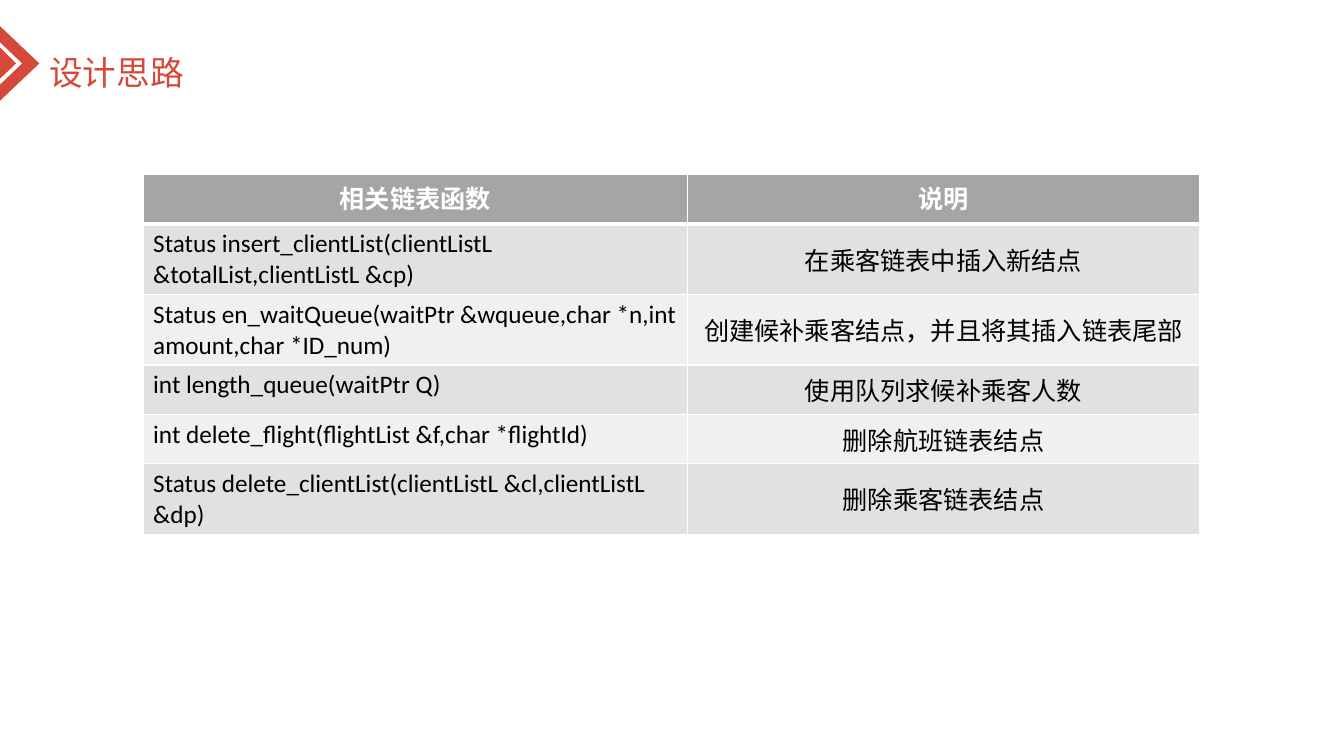
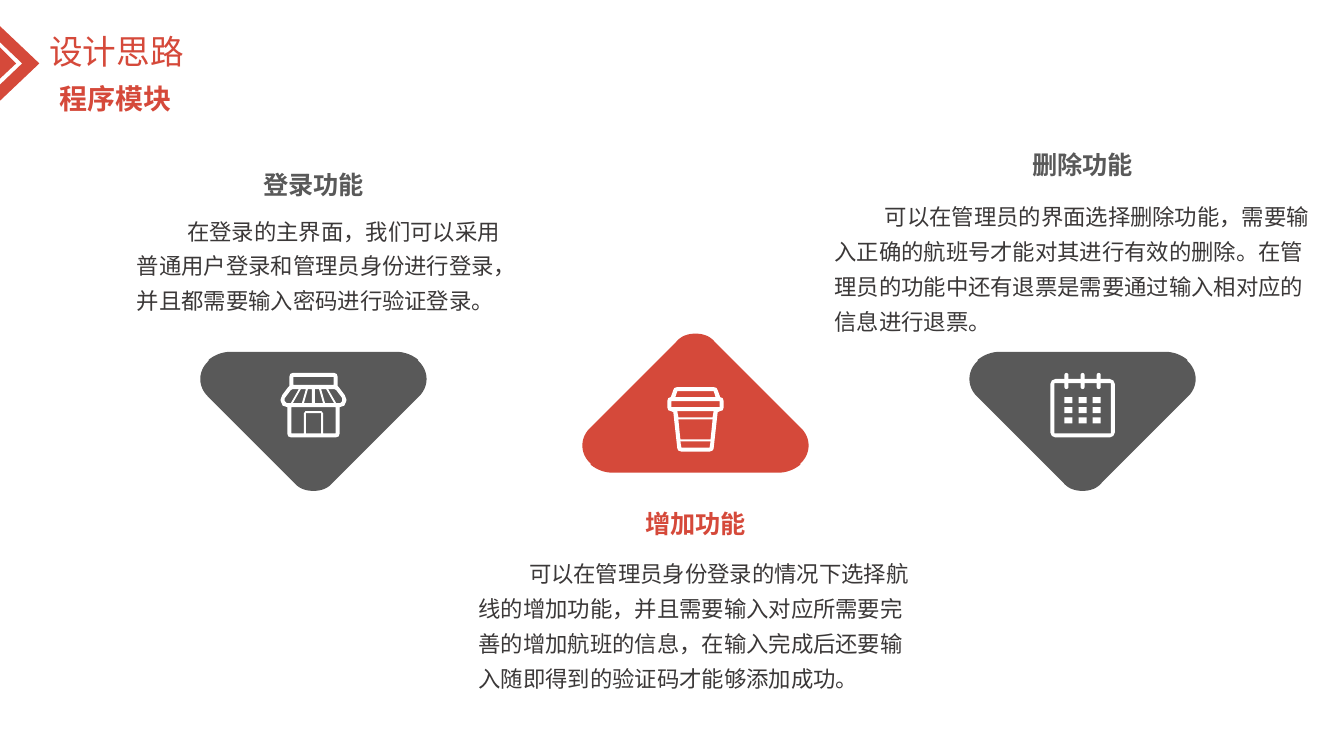
"""Build two slides on a booking program: its list functions and its modules."""
from pptx import Presentation
from pptx.dml.color import RGBColor as Rgb
from pptx.enum.shapes import MSO_SHAPE as Shape
from pptx.enum.text import MSO_ANCHOR as Anchor
from pptx.enum.text import MSO_AUTO_SIZE as Fit
from pptx.enum.text import PP_ALIGN as Align
from pptx.oxml.ns import qn
from pptx.util import Inches, Pt
from lxml.etree import SubElement as Sub

CELL = Inches(0.1)
COLS, ROWS = 133.33, 75
RED = Rgb(0xD5, 0x49, 0x3A)
GREY = Rgb(0x59, 0x59, 0x59)
INK = Rgb(0x3B, 0x38, 0x38)
WHITE = Rgb(0xFF, 0xFF, 0xFF)
BLACK = Rgb(0, 0, 0)
HEAD = Rgb(0xA5, 0xA5, 0xA5)
BANDS = Rgb(0xE1, 0xE1, 0xE1), Rgb(0xF0, 0xF0, 0xF0)
SANS, LATIN = "Noto Sans CJK SC", "Calibri"

TABLE = [
    ("相关链表函数", "说明"),
    ("Status insert_clientList(clientListL &totalList,clientListL &cp)", "在乘客链表中插入新结点"),
    ("Status en_waitQueue(waitPtr &wqueue,char *n,int amount,char *ID_num)",
     "创建候补乘客结点，并且将其插入链表尾部"),
    ("int length_queue(waitPtr Q)", "使用队列求候补乘客人数"),
    ("int delete_flight(flightList &f,char *flightId)", "删除航班链表结点"),
    ("Status delete_clientList(clientListL &cl,clientListL &dp)", "删除乘客链表结点"),
]
LOGIN = "在登录的主界面，我们可以采用普通用户登录和管理员身份进行登录，并且都需要输入密码进行验证登录。"
ADD = ("可以在管理员身份登录的情况下选择航线的增加功能，并且需要输入对应所需要完善的增加航班的信息，"
       "在输入完成后还要输入随即得到的验证码才能够添加成功。")
DROP = ("可以在管理员的界面选择删除功能，需要输入正确的航班号才能对其进行有效的删除。"
        "在管理员的功能中还有退票是需要通过输入相对应的信息进行退票。")

BENDS = [
    [(0, 13.8), (0.7, 13.8), (1.4, 13.6), (1.9, 13)],
    [(10.4, 4.5), (11.5, 3.5), (11.5, 1.9), (10.4, 0.9)],
    [(10.4, 0.8), (9.8, 0.3), (9, 0), (8.2, 0)],
]
STRIPES = [
    [(1.45, 1.6), (2.05, 1.6), (2.25, 1.7), (2.85, 2.5), (2.85, 2.8), (2.65, 3), (2.25, 3)],
    [(0.75, 1.6), (1.25, 1.6), (2.05, 3), (1.15, 3)],
    [(0.15, 1.6), (0.55, 1.6), (0.95, 3), (0.15, 3)],
]
SHOP = [
    [(2.05, 0), (2.3, 0.1), (2.4, 0.4), (2.4, 1.3), (2.5, 1.4), (3.1, 2.2), (3.25, 2.6),
     (3.25, 2.8), (3.05, 3.25), (2.6, 3.4), (2.6, 6), (2.5, 6.3), (2.2, 6.4)],
    [(2, 0.4), (2, 1.2)],
    [(2.2, 3.4), (2.2, 6), (0.95, 6), (0.95, 4), (0.8, 3.8)],
    [(0.75, 4), (0.75, 6)],
]
CUP = [
    [(1.8, 0), (2.1, 0.1), (2.2, 0.3), (2.45, 1), (2.7, 1.1), (2.8, 1.4), (2.8, 2),
     (2.7, 2.3), (2.4, 2.4), (2.2, 2.5), (1.8, 6.1), (1.7, 6.3), (1.4, 6.4)],
    [(1.8, 0.4), (2, 1)],
    [(2.4, 1.4), (2.4, 2)],
    [(1.8, 2.4), (1.7, 3)],
    [(1.7, 3.2), (1.5, 5.2)],
    [(1.5, 5.4), (1.4, 6)],
]
MONTH = [
    [(2.7, 0.6), (3.05, 0.75), (3.2, 1.1), (3.2, 5.9), (3.05, 6.25), (2.7, 6.4)],
    [(2.8, 1), (2.8, 6)],
]


def flip(half):
    """Mirror points about the centre line."""
    return [(-x, y) for x, y in half]


def whole(half):
    """Close a right half with its mirror."""
    return half + flip(half)[::-1]


def bend(a, b, c, d, steps=12):
    """Sample a cubic curve."""
    spots = []
    for i in range(steps + 1):
        t = i / steps
        u = 1 - t
        spots.append(tuple(
            u ** 3 * p + 3 * u * u * t * q + 3 * u * t * t * r + t ** 3 * s
            for p, q, r, s in zip(a, b, c, d)))
    return spots


def grid(*cells):
    """Turn grid cells into lengths."""
    return [round(n * CELL) for n in cells]


def paint(shape, tint):
    """Fill a shape flat, without line or shadow."""
    shape.shadow.inherit = False
    shape.fill.solid()
    shape.fill.fore_color.rgb = tint
    shape.line.fill.background()


def draw(shapes, loops, tint, x=0, y=0):
    """Draw closed loops as one outline; inner loops are holes."""
    pen = None
    for loop in loops:
        spots = [grid(x + a, y + b) for a, b in loop]
        if pen is None:
            pen = shapes.build_freeform(*spots[0], scale=1.0)
        else:
            pen.move_to(*spots[0])
        pen.add_line_segments(spots[1:], close=True)
    paint(pen.convert_to_shape(), tint)


def write(para, text, size, tint, bold=False, face=SANS):
    """Add one styled run."""
    run = para.add_run()
    run.text = text
    font = run.font
    font.size, font.bold, font.name = Pt(size), bold, face
    font.color.rgb = tint
    if face == SANS:
        Sub(run._r.get_or_add_rPr(), qn("a:ea")).set("typeface", face)


def label(slide, spot, text, size, tint, bold=False, wrap=False, align=Align.LEFT):
    """Place a text box and return its paragraph."""
    frame = slide.shapes.add_textbox(*grid(*spot)).text_frame
    frame.word_wrap = wrap
    frame.auto_size = Fit.SHAPE_TO_FIT_TEXT
    para = frame.paragraphs[0]
    para.alignment = align
    write(para, text, size, tint, bold)
    return para


def page(deck, top):
    """Start a slide with the red marker and the shared title."""
    slide = deck.slides.add_slide(deck.slide_layouts[6])
    mark = slide.shapes.add_group_shape().shapes
    draw(mark, [[(0, 4.7), (1.6, 6.3), (0, 7.8)]], RED)
    draw(mark, [[(0, 2.6), (3.9, 6.3), (0, 10), (0, 8.4), (2.2, 6.3), (0, 4.2)]], RED)
    label(slide, (3.9, top, 15.5, 5), "设计思路", 24, RED)
    return slide


def edge(cell, base):
    """Give a cell white borders."""
    props = cell._tc.get_or_add_tcPr()
    for i, (side, width) in enumerate(zip("LRTB", (1, 1, 1, base))):
        line = props.makeelement(qn("a:ln" + side), {"w": str(Pt(width))})
        fill = Sub(line, qn("a:solidFill"))
        Sub(fill, qn("a:srgbClr")).set("val", str(WHITE))
        props.insert(i, line)


def chart(slide):
    """Place the table of list functions."""
    spot = grid(14.2, 17.3, 104.8, 4.9 * len(TABLE))
    table = slide.shapes.add_table(len(TABLE), 2, *spot).table
    for col, width in zip(table.columns, grid(54, 50.8)):
        col.width = width
    for i, row in enumerate(TABLE):
        top = i == 0
        for j, text in enumerate(row):
            cell = table.cell(i, j)
            cell.fill.solid()
            cell.fill.fore_color.rgb = HEAD if top else BANDS[(i - 1) % 2]
            edge(cell, 3 if top else 1)
            para = cell.text_frame.paragraphs[0]
            if top or j:
                para.alignment = Align.CENTER
            if j and not top:
                cell.vertical_anchor = Anchor.MIDDLE
            write(para, text, 18, WHITE if top else BLACK, top, LATIN)


def wedge(slide, mid, flat, tint, up=False):
    """Draw a rounded triangle from its flat side."""
    half = [p for part in BENDS for p in bend(*part)]
    turn = -1 if up else 1
    draw(slide.shapes, [[(x, turn * y) for x, y in whole(half)]], tint, mid, flat)


def note(slide, mid, top, name, tint, spot, text):
    """Write a module's heading and its indented text."""
    para = label(slide, spot, text, 16, INK, wrap=True)
    para.line_spacing = 1.3
    props = para._p.get_or_add_pPr()
    props.set("marL", "0")
    props.set("indent", str(Inches(0.5)))
    label(slide, (mid - 6.05, top, 12.1, 4), name, 18, tint, True, align=Align.CENTER)


def icon(slide, halves, mid, top, pairs=()):
    """Draw a white icon from right halves and mirrored pairs."""
    sides = [loop for half in pairs for loop in (half, flip(half))]
    draw(slide.shapes, [whole(h) for h in halves] + sides, WHITE, mid, top)


def dates(slide, mid, top):
    """Draw a calendar icon with rings and a grid of days."""
    icon(slide, MONTH, mid, top)
    for i in (-1, 0, 1):
        spots = [(Shape.ROUNDED_RECTANGLE, mid + 1.6 * i - 0.2, top, 0.4, 1.6)]
        spots += [(Shape.RECTANGLE, mid + 1.4 * i - 0.4, top + 2.4 + j, 0.8, 0.6) for j in range(3)]
        for kind, *spot in spots:
            shape = slide.shapes.add_shape(kind, *grid(*spot))
            if kind == Shape.ROUNDED_RECTANGLE:
                shape.adjustments[0] = 0.5
            paint(shape, WHITE)


def main():
    """Build and save the deck."""
    deck = Presentation()
    deck.slide_width, deck.slide_height = grid(COLS, ROWS)
    chart(page(deck, 4.7))

    slide = page(deck, 2.6)
    left, mid, right = 31.1, 69, 107.4
    wedge(slide, left, 34.9, GREY)
    wedge(slide, mid, 46.9, RED, up=True)
    wedge(slide, right, 34.9, GREY)
    note(slide, left, 16.3, "登录功能", GREY, (12.6, 20.3, 38.4, 11.2), LOGIN)
    note(slide, mid, 49.9, "增加功能", RED, (46.5, 54.3, 45, 14.7), ADD)
    note(slide, right, 14.3, "删除功能", GREY, (81.8, 18.9, 49.1, 14.7), DROP)
    icon(slide, SHOP, left, 37, STRIPES)
    icon(slide, CUP, mid, 38.4)
    dates(slide, right, 37)
    label(slide, (4.9, 7.6, 33.4, 4.4), "程序模块", 20, RED, True, True)
    deck.save("out.pptx")


if __name__ == "__main__":
    main()
